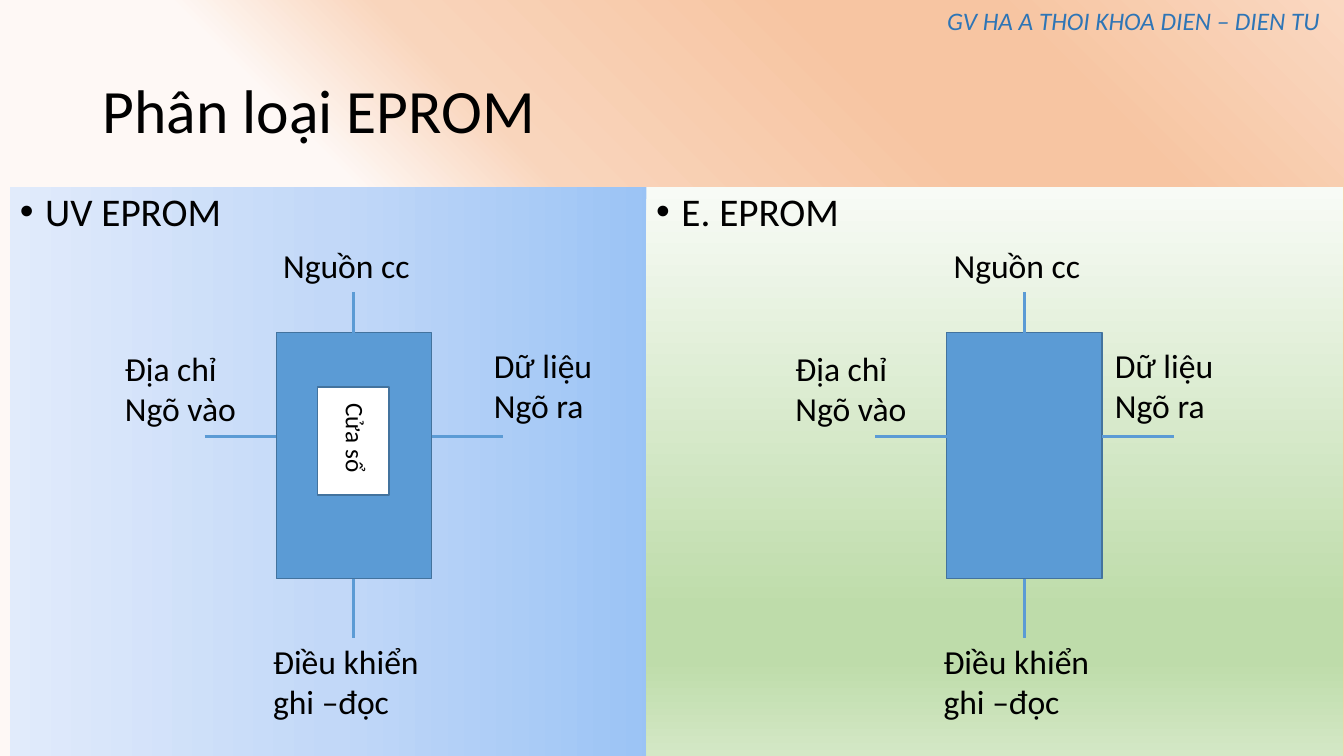
from dataclasses import dataclass

from lxml.etree import SubElement
from pptx import Presentation
from pptx.dml.color import RGBColor
from pptx.enum.shapes import MSO_CONNECTOR as Connector, MSO_SHAPE as Preset
from pptx.enum.text import MSO_ANCHOR as Anchor, MSO_AUTO_SIZE as AutoSize, PP_ALIGN as Align
from pptx.oxml.ns import qn
from pptx.util import Inches, Pt

Stops = tuple[tuple[int, str], ...]
Box = tuple[float, float, float, float]


@dataclass(frozen=True)
class Theme:
    font: str = "Calibri"
    ink: str = "000000"
    credit: str = "2E75B6"
    chip: str = "5B9BD5"
    outline: str = "43739E"
    window: str = "FFFFFF"
    title_size: int = 44
    heading_size: int = 28
    label_size: int = 24
    small_size: int = 18
    outline_width: float = 1
    pin_width: float = 2.25
    backdrop: Stops = ((44, "FEF8F5"), (54, "F9D5BC"), (74, "F7C5A2"),
                       (83, "F7C5A2"), (100, "FAD8C1"))
    blue: Stops = ((0, "9AC3F5"), (50, "C2D8F8"), (100, "E1EBFB"))
    green: Stops = ((0, "F8FBF6"), (74, "BEDCAA"), (83, "BEDCAA"), (100, "D4E8C6"))


@dataclass(frozen=True)
class Panel:
    heading: str
    box: Box
    stops: Stops
    angle: int


@dataclass(frozen=True)
class Chip:
    left: float
    data_left: float
    has_window: bool


THEME = Theme()
CHIP_TOP, CHIP_WIDTH, CHIP_HEIGHT = 3.3, 1.54, 2.44
PIN_Y, PIN_LENGTH = 4.33, 0.71

PANELS = (
    Panel("UV EPROM", (0.1, 1.86, 6.43, 5.64), THEME.blue, 180),
    Panel("E. EPROM", (6.41, 1.86, 6.91, 5.65), THEME.green, 270),
)
CHIPS = (Chip(2.74, 4.8, True), Chip(9.39, 10.96, False))


def set_gradient(fill, owner, stops: Stops, angle: int) -> None:
    fill.gradient()
    fill.gradient_angle = angle
    stop_list = next(owner.iter(qn("a:gsLst")))
    stop_list.clear()
    for position, color in stops:
        stop = SubElement(stop_list, qn("a:gs"), pos=str(position * 1000))
        SubElement(stop, qn("a:srgbClr"), val=color)


def write(frame, text: str, size: int, color: str = THEME.ink, italic: bool = False,
          **paragraph_format) -> None:
    font_format = {"name": THEME.font, "size": Pt(size), "italic": italic}
    frame.text = text
    for paragraph in frame.paragraphs:
        for key, value in paragraph_format.items():
            setattr(paragraph, key, value)
        for run in paragraph.runs:
            for key, value in font_format.items():
                setattr(run.font, key, value)
            run.font.color.rgb = RGBColor.from_string(color)


def add_label(slide, text: str, box: Box, size: int = THEME.label_size, wrap: bool = True,
              auto_size: AutoSize = AutoSize.SHAPE_TO_FIT_TEXT,
              anchor: Anchor = Anchor.TOP, rotation: int = 0, **text_format) -> None:
    label = slide.shapes.add_textbox(*map(Inches, box))
    label.rotation = rotation
    frame_format = {"word_wrap": wrap, "auto_size": auto_size, "vertical_anchor": anchor}
    for key, value in frame_format.items():
        setattr(label.text_frame, key, value)
    write(label.text_frame, text, size, **text_format)


def add_block(slide, box: Box, color: str) -> None:
    block = slide.shapes.add_shape(Preset.RECTANGLE, *map(Inches, box))
    block.shadow.inherit = False
    block.fill.solid()
    block.fill.fore_color.rgb = RGBColor.from_string(color)
    block.line.color.rgb = RGBColor.from_string(THEME.outline)
    block.line.width = Pt(THEME.outline_width)


def add_pin(slide, ends: Box) -> None:
    pin = slide.shapes.add_connector(Connector.STRAIGHT, *map(Inches, ends))
    pin.line.color.rgb = RGBColor.from_string(THEME.chip)
    pin.line.width = Pt(THEME.pin_width)
    SubElement(pin.element.spPr, qn("a:effectLst"))


def add_panel(slide, panel: Panel) -> None:
    area = slide.shapes.add_shape(Preset.RECTANGLE, *map(Inches, panel.box))
    area.shadow.inherit = False
    area.line.fill.background()
    set_gradient(area.fill, area.element, panel.stops, panel.angle)
    area.text_frame.vertical_anchor = Anchor.TOP
    write(area.text_frame, panel.heading, THEME.heading_size,
          alignment=Align.LEFT, line_spacing=0.9, space_before=Pt(10))
    properties = area.text_frame.paragraphs[0]._p.get_or_add_pPr()
    for key, value in {"marL": Inches(0.25), "indent": Inches(-0.25)}.items():
        properties.set(key, str(value))
    SubElement(properties, qn("a:buFont"), typeface="Arial")
    SubElement(properties, qn("a:buChar"), char="•")


def add_chip(slide, chip: Chip) -> None:
    left, right = chip.left, chip.left + CHIP_WIDTH
    middle, bottom = left + CHIP_WIDTH / 2, CHIP_TOP + CHIP_HEIGHT
    add_block(slide, (left, CHIP_TOP, CHIP_WIDTH, CHIP_HEIGHT), THEME.chip)
    if chip.has_window:
        add_block(slide, (left + 0.41, 3.84, 0.71, 1.07), THEME.window)
        add_label(slide, "Cửa sổ", (left + 0.33, 4.16, 0.92, 0.4),
                  THEME.small_size, rotation=90)
    for ends in (
        (right, PIN_Y, right + PIN_LENGTH, PIN_Y),
        (left - PIN_LENGTH, PIN_Y, left, PIN_Y),
        (middle, bottom, middle, 6.33),
        (middle, 2.9, middle, 3.48),
    ):
        add_pin(slide, ends)
    for text, box in (
        ("Dữ liệu\nNgõ ra", (chip.data_left, 3.37, 1.43, 0.91)),
        ("Địa chỉ\nNgõ vào", (left - 1.6, 3.4, 1.43, 0.91)),
        ("Điều khiển ghi –đọc", (left - 0.13, 6.31, 2.03, 0.91)),
        ("Nguồn cc", (left - 0.03, 2.38, 1.57, 0.5)),
    ):
        add_label(slide, text, box)


def main() -> None:
    deck = Presentation()
    deck.slide_width, deck.slide_height = Inches(13.33), Inches(7.5)
    slide = deck.slides.add_slide(deck.slide_layouts[6])
    set_gradient(slide.background.fill, slide.element, THEME.backdrop, 45)
    add_label(slide, "Phân loại EPROM", (0.92, 0.4, 11.5, 1.45), THEME.title_size,
              auto_size=AutoSize.NONE, anchor=Anchor.MIDDLE, line_spacing=0.9)
    for panel in PANELS:
        add_panel(slide, panel)
    for chip in CHIPS:
        add_chip(slide, chip)
    add_label(slide, "GV HA A THOI KHOA DIEN – DIEN TU ", (9.27, 0, 4, 0.4),
              THEME.small_size, wrap=False, color=THEME.credit, italic=True,
              alignment=Align.CENTER)
    deck.save("out.pptx")


if __name__ == "__main__":
    main()
